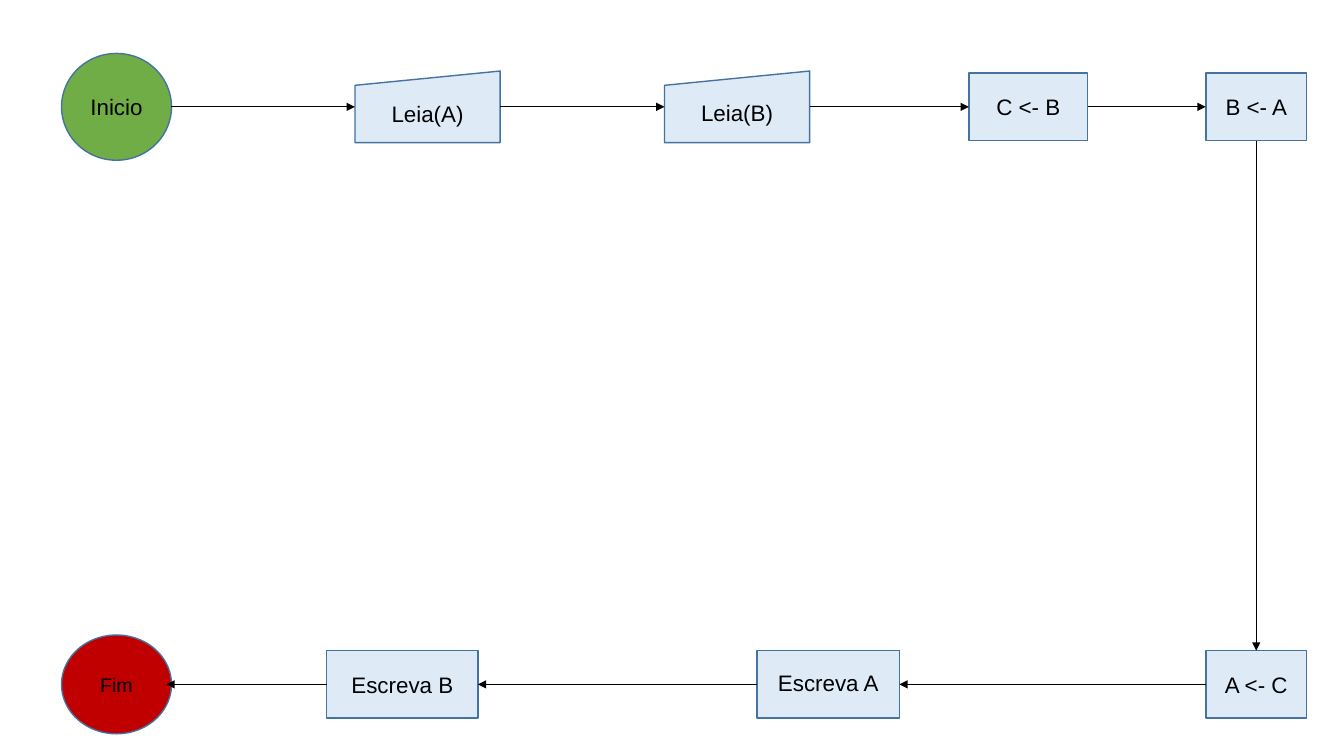
from itertools import pairwise

from pptx import Presentation
from pptx.dml.color import RGBColor
from pptx.enum.shapes import MSO_CONNECTOR, MSO_SHAPE as SHAPE
from pptx.enum.text import MSO_ANCHOR, PP_ALIGN
from pptx.oxml import parse_xml
from pptx.oxml.ns import nsdecls
from pptx.util import Inches, Pt

CIRCLE = SHAPE.FLOWCHART_CONNECTOR
INPUT = SHAPE.FLOWCHART_MANUAL_INPUT
PROCESS = SHAPE.FLOWCHART_PROCESS
GREEN, RED, PALE = "70AD47", "C00000", "DEEBF7"
BORDER, BLACK = "43739E", "000000"

prs = Presentation()
prs.slide_width, prs.slide_height = Inches(13.33), Inches(7.5)
COL, ROW = prs.slide_width / 100, prs.slide_height / 100  # 100 x 100 grid


def rgb(value):
    return RGBColor.from_string(value)


def write(s, text, size=16, font="Arial", color=BLACK, raised=0):
    """Centre text in a shape; raised lifts it by that many points."""
    tf = s.text_frame
    tf.word_wrap = True
    tf.vertical_anchor = MSO_ANCHOR.MIDDLE
    tf.margin_bottom = Inches(0.05) + Pt(2 * raised)
    p = tf.paragraphs[0]
    p.alignment = PP_ALIGN.CENTER
    r = p.add_run()
    r.text = text
    r.font.size, r.font.name = Pt(size), font
    r.font.color.rgb = rgb(color)


def add_step(slide, axis, kind, left, width, height, text, fill=PALE, **fmt):
    """Draw one step centred vertically on the axis row."""
    s = slide.shapes.add_shape(kind, round(left * COL), round((axis - height / 2) * ROW),
                               round(width * COL), round(height * ROW))
    s.shadow.inherit = False
    s.fill.solid()
    s.fill.fore_color.rgb = rgb(fill)
    s.line.color.rgb = rgb(BORDER)
    s.line.width = Pt(1)
    write(s, text, **fmt)
    return s


def add_arrow(slide, x1, y1, x2, y2):
    c = slide.shapes.add_connector(MSO_CONNECTOR.STRAIGHT, *map(round, (x1, y1, x2, y2)))
    c.line.color.rgb = rgb(BLACK)
    c.line.width = Pt(0.5)
    c.line._get_or_add_ln().append(parse_xml(f'<a:tailEnd type="triangle" {nsdecls("a")}/>'))
    c._element.spPr.append(parse_xml(f'<a:effectLst {nsdecls("a")}/>'))


def flow_row(slide, box, steps, overlap=0):
    """Place steps in flow order; the last arrow may enter its step by overlap."""
    left, top, width, height = box
    axis = top + height / 2
    shapes = [add_step(slide, axis, kind, left + x * width / 100, w * width / 100, h, text, **fmt)
              for kind, x, w, h, text, fmt in steps]
    for a, b in pairwise(shapes):
        inset = overlap * COL if b is shapes[-1] else 0
        if a.left < b.left:
            x1, x2 = a.left + a.width, b.left + inset
        else:
            x1, x2 = a.left, b.left + b.width - inset
        add_arrow(slide, x1, axis * ROW, x2, axis * ROW)
    return shapes


def flowchart(slide, box):
    left, top, width, height = box
    # Reading and swapping, left to right
    upper = flow_row(slide, (left, top, width, 14.13), [
        (CIRCLE, 4.58, 8.18, 14.13, "Inicio", {"fill": GREEN}),
        (INPUT, 26.41, 10.8, 9.47, "Leia(A)", {}),
        (INPUT, 49.44, 10.8, 9.47, "Leia(B)", {"raised": 1.15}),
        (PROCESS, 72.09, 8.85, 8.93, "C <- B", {}),
        (PROCESS, 89.72, 7.5, 8.93, "B <- A", {}),
    ])
    # Writing the result, right to left
    lower = flow_row(slide, (left, top + height - 13.07, width, 13.07), [
        (PROCESS, 89.72, 7.5, 8.93, "A <- C", {}),
        (PROCESS, 56.34, 10.58, 8.93, "Escreva A", {"raised": 1.15}),
        (PROCESS, 24.31, 11.25, 8.93, "Escreva B", {}),
        (CIRCLE, 4.58, 8.18, 13.07, "Fim", {"fill": RED, "size": 14}),
    ], overlap=0.38)
    # Link between the rows
    a, b = upper[-1], lower[0]
    x = a.left + a.width / 2
    add_arrow(slide, x, a.top + a.height, x, b.top)


flowchart(prs.slides.add_slide(prs.slide_layouts[6]), (0, 7.07, 100, 90))
prs.save("out.pptx")
